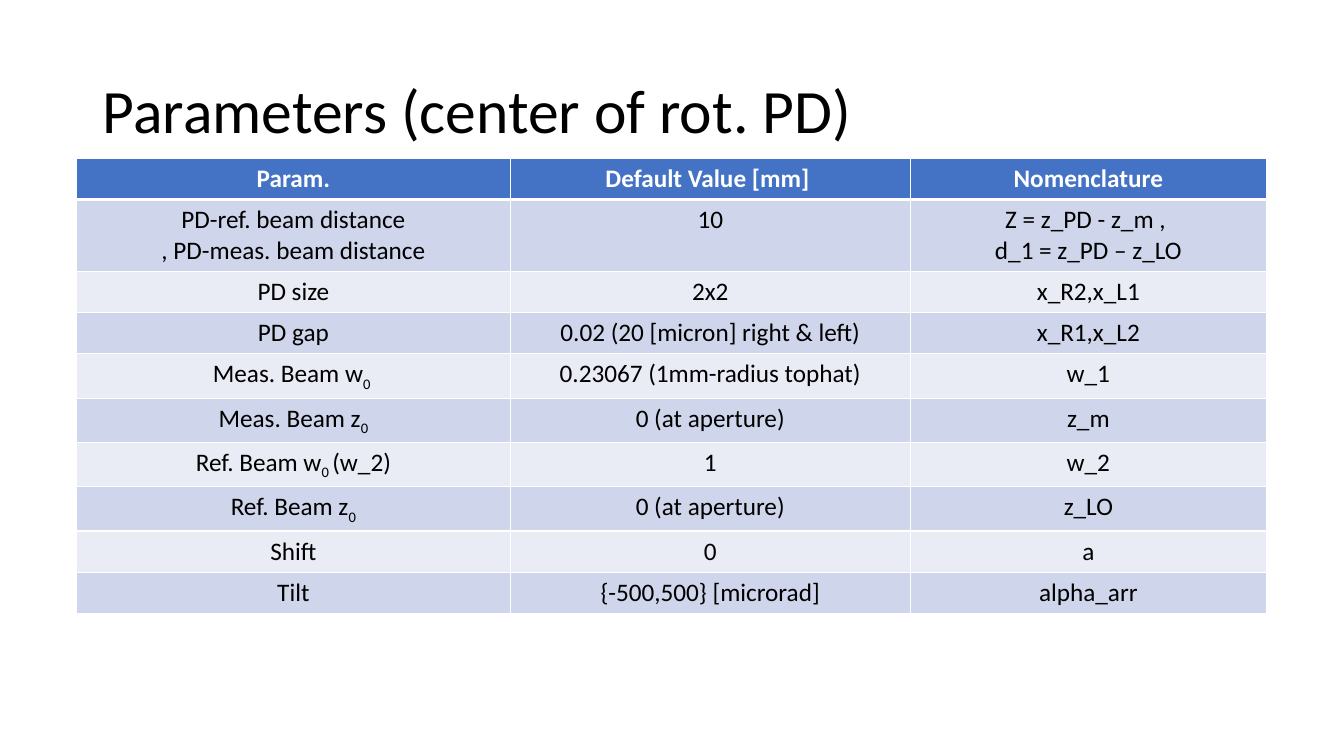
import pptx
import pptx.dml.color
import pptx.enum.text
import pptx.oxml.ns
import pptx.util
from lxml import etree

Inches = pptx.util.Inches
Pt = pptx.util.Pt
ALIGN = pptx.enum.text.PP_ALIGN

HEADER_FILL = "4472C4"
BAND_FILLS = ("CFD5EA", "E9EBF5")
COL_WIDTHS = (4.3, 3.97, 3.53)
ROW_HEIGHT = 0.41

TITLE_FONT = {"name": "Calibri", "size": Pt(44), "bold": False}
HEADER_FONT = {"name": "Calibri", "size": Pt(18), "bold": True}
BODY_FONT = {"name": "Calibri", "size": Pt(18), "bold": False}

# Text between "~" marks is set as subscript.
PARAMETERS = [
    ("Param.", "Default Value [mm] ", "Nomenclature"),
    ("PD-ref. beam distance\n, PD-meas. beam distance", "10",
     "Z = z_PD - z_m , \nd_1 = z_PD – z_LO"),
    ("PD size", "2x2", "x_R2,x_L1"),
    ("PD gap", "0.02 (20 [micron] right & left)", "x_R1,x_L2"),
    ("Meas. Beam w~0 ~", "0.23067 (1mm-radius tophat)", "w_1"),
    ("Meas. Beam z~0~", "0 (at aperture)", "z_m"),
    ("Ref. Beam w~0 ~(w_2)", "1", "w_2"),
    ("Ref. Beam z~0~", "0 (at aperture)", "z_LO"),
    ("Shift", "0", "a"),
    ("Tilt", "{-500,500} [microrad]", "alpha_arr"),
]


def rgb(color):
    return pptx.dml.color.RGBColor.from_string(color)


def format_run(r, font, color):
    for name, value in font.items():
        setattr(r.font, name, value)
    r.font.color.rgb = rgb(color)


def write_marked_text(p, text, font, color):
    """Write text with line breaks and "~" subscript marks."""
    for i, line in enumerate(text.split("\n")):
        if i:
            p.add_line_break()
        for j, part in enumerate(line.split("~")):
            if part:
                r = p.add_run()
                r.text = part
                format_run(r, font, color)
                if j % 2:
                    r.font._element.set("baseline", "-25000")


def set_borders(cell, widths, color="FFFFFF"):
    """Draw cell borders; widths are points for left, right, top, bottom."""
    tcPr = cell._tc.get_or_add_tcPr()
    qn = pptx.oxml.ns.qn
    for side, width in zip("LRTB", widths):
        ln = etree.SubElement(tcPr, qn(f"a:ln{side}"), w=str(Pt(width)))
        fill = etree.SubElement(ln, qn("a:solidFill"))
        etree.SubElement(fill, qn("a:srgbClr"), val=color)


def add_title(slide, text, left, top, width, height):
    sp = slide.shapes.title
    sp.left, sp.top = Inches(left), Inches(top)
    sp.width, sp.height = Inches(width), Inches(height)
    tf = sp.text_frame
    tf.word_wrap = True
    tf.vertical_anchor = pptx.enum.text.MSO_ANCHOR.MIDDLE
    p = tf.paragraphs[0]
    p.alignment = ALIGN.LEFT
    p.line_spacing = 0.9
    write_marked_text(p, text, TITLE_FONT, "000000")


def add_parameter_table(slide, rows, left, top):
    frame = slide.shapes.add_table(
        len(rows), len(COL_WIDTHS), Inches(left), Inches(top),
        Inches(sum(COL_WIDTHS)), Inches(ROW_HEIGHT * len(rows)))
    table = frame.table
    for column, width in zip(table.columns, COL_WIDTHS):
        column.width = Inches(width)
    for i, texts in enumerate(rows):
        table.rows[i].height = Inches(ROW_HEIGHT)
        if i == 0:
            fill, font, color = HEADER_FILL, HEADER_FONT, "FFFFFF"
        else:
            fill, font, color = BAND_FILLS[(i - 1) % 2], BODY_FONT, "000000"
        borders = (1, 1, 3 if i == 1 else 1, 3 if i == 0 else 1)
        for j, text in enumerate(texts):
            cell = table.cell(i, j)
            set_borders(cell, borders)
            cell.fill.solid()
            cell.fill.fore_color.rgb = rgb(fill)
            p = cell.text_frame.paragraphs[0]
            p.alignment = ALIGN.CENTER
            write_marked_text(p, text, font, color)


def main():
    prs = pptx.Presentation()
    prs.slide_width, prs.slide_height = Inches(13.33), Inches(7.5)
    slide = prs.slides.add_slide(prs.slide_layouts[5])
    add_title(slide, "Parameters (center of rot. PD)", 0.92, 0.4, 11.5, 1.45)
    add_parameter_table(slide, PARAMETERS, 0.76, 1.57)
    prs.save("out.pptx")


if __name__ == "__main__":
    main()
